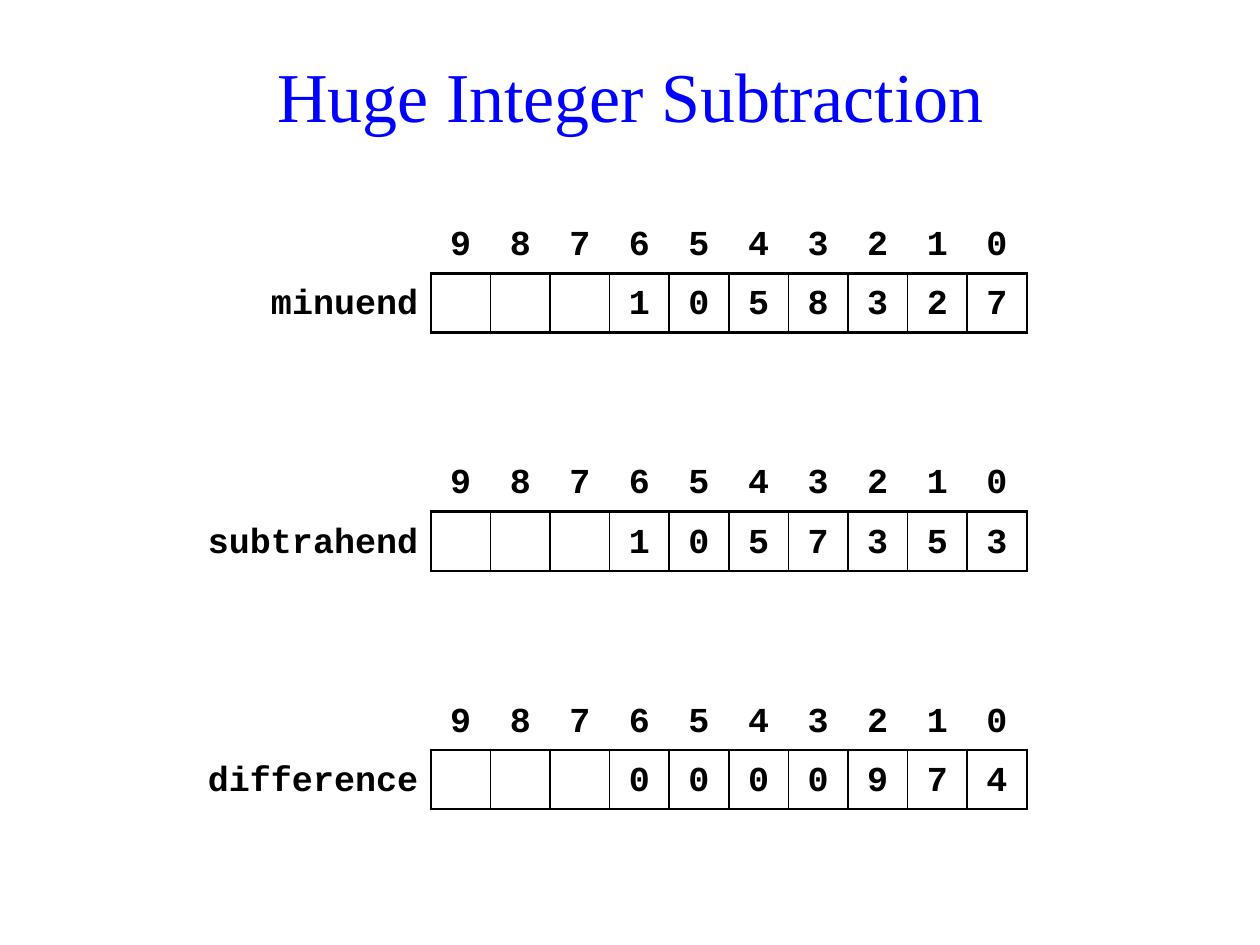
from lxml.etree import SubElement as Sub
from pptx import Presentation
from pptx.dml.color import RGBColor as Rgb
from pptx.enum.text import MSO_ANCHOR as Anchor, PP_ALIGN as Align
from pptx.oxml.ns import qn
from pptx.util import Inches, Pt

COLORS = {"title": "0000FF", "ink": "000000"}
COUNT = 10
GRID = Inches(3.42)
CELL = Inches(4.73) // COUNT
ROW = Inches(0.94) // 2
TOP = Inches(1.7)
STEP = Inches(1.89)
NUMBERS = [
    ("minuend", "1058327", 1.42, 0.1),
    ("subtrahend", "1057353", 1.89, 0.1),
    ("difference", "0000974", 1.89, 0.04),
]


def put(frame, text, size=20, font="Courier New", color="ink", bold=True,
        align=Align.CENTER, space=1.25):
    """Write one formatted line of text into a frame."""
    para = frame.paragraphs[0]
    para.alignment = align
    para.line_spacing = space
    run = para.add_run()
    run.text = text
    run.font.size = Pt(size)
    run.font.name = font
    run.font.bold = bold
    run.font.color.rgb = Rgb.from_string(COLORS[color])


def edge(cell, **widths):
    """Give a cell its borders in points; sides not named stay bare."""
    props = cell._tc.get_or_add_tcPr()
    for side in "LRTB":
        width = widths.get(side, 0)
        line = Sub(props, qn("a:ln" + side), w=str(Pt(width)))
        if width:
            fill = Sub(line, qn("a:solidFill"))
            Sub(fill, qn("a:srgbClr"), val=COLORS["ink"])
        else:
            Sub(line, qn("a:noFill"))


def fill_cell(cell, text, inset, align, **widths):
    """Set the borders, margins and text of one cell."""
    edge(cell, **widths)
    cell.fill.background()
    cell.margin_left = cell.margin_right = Inches(inset)
    cell.margin_top = cell.margin_bottom = Inches(0.02)
    if text:
        put(cell.text_frame, text, align=align)


def add_title(slide, left, top, width, height, text):
    """Place the slide title in its box."""
    title = slide.shapes.title
    title.left, title.top, title.width, title.height = left, top, width, height
    title.text_frame.vertical_anchor = Anchor.MIDDLE
    put(title.text_frame, text, size=40, font="Times New Roman",
        color="title", bold=False, space=1)


def add_number(slide, left, top, label, name, digits, inset):
    """Draw a named number as indexed digit cells after a label column."""
    width = label + COUNT * CELL
    table = slide.shapes.add_table(2, COUNT + 1, left, top, width, 2 * ROW).table
    table.first_row = table.horz_banding = False
    for row in table.rows:
        row.height = ROW
    for col in table.columns:
        col.width = CELL
    table.columns[0].width = label
    fill_cell(table.cell(0, 0), "", 0.1, Align.RIGHT)
    fill_cell(table.cell(1, 0), name, 0.1, Align.RIGHT, R=1.5)
    for col, digit in enumerate(digits.rjust(COUNT), 1):
        fill_cell(table.cell(0, col), str(COUNT - col), inset, Align.CENTER, B=1.5)
        fill_cell(table.cell(1, col), digit.strip(), inset, Align.CENTER,
                  L=1.5 if col == 1 else 1, R=1.5 if col == COUNT else 1,
                  T=1.5, B=1.5)


def build():
    """Build and save the slide."""
    deck = Presentation()
    deck.slide_width, deck.slide_height = Inches(10), Inches(7.5)
    slide = deck.slides.add_slide(deck.slide_layouts[5])
    add_title(slide, Inches(0.28), Inches(0.28), Inches(9.45), Inches(0.94),
              "Huge Integer Subtraction")
    for i, (name, digits, label, inset) in enumerate(NUMBERS):
        wide = Inches(label)
        add_number(slide, GRID - wide, TOP + i * STEP, wide, name, digits, inset)
    deck.save("out.pptx")


build()
